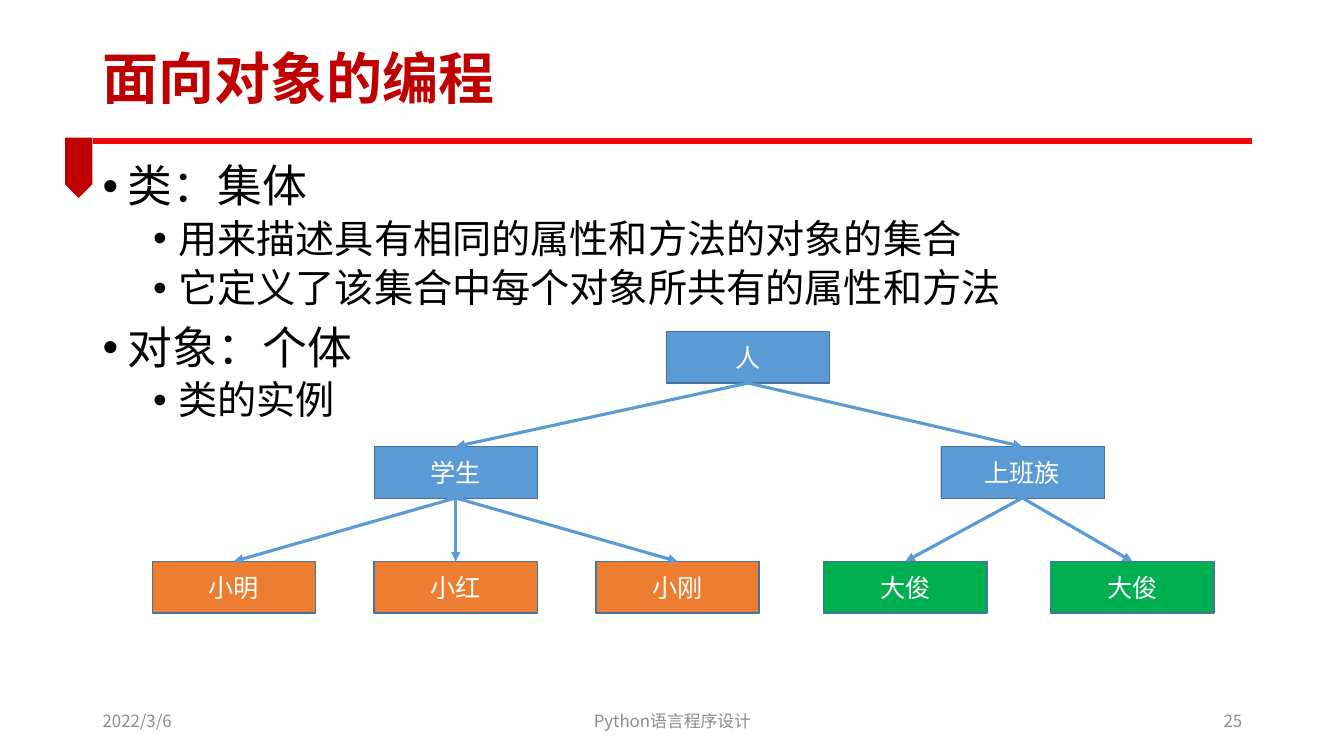
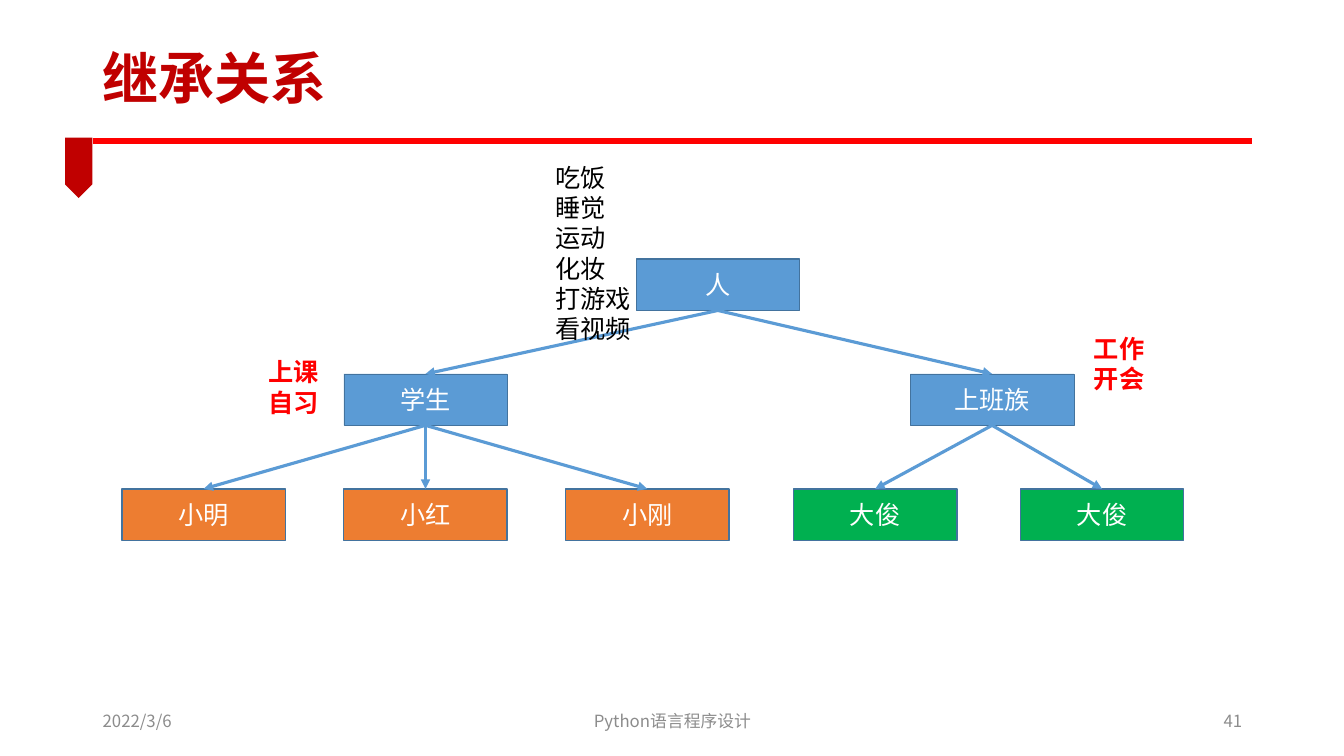
"""Build two slides on classes, objects and inheritance in Python."""
from lxml.etree import SubElement
from pptx import Presentation
from pptx.dml.color import RGBColor
from pptx.enum.shapes import MSO_CONNECTOR, MSO_SHAPE
from pptx.enum.text import MSO_ANCHOR, MSO_AUTO_SIZE, PP_ALIGN
from pptx.oxml import parse_xml
from pptx.oxml.ns import nsdecls, qn
from pptx.util import Inches, Pt

FONT = "Noto Sans CJK SC"
DARK_RED = RGBColor(0xC0, 0x00, 0x00)
RED = RGBColor(0xFF, 0x00, 0x00)
BLACK = RGBColor(0x00, 0x00, 0x00)
WHITE = RGBColor(0xFF, 0xFF, 0xFF)
GRAY = RGBColor(0x8C, 0x8C, 0x8C)
BLUE = RGBColor(0x5B, 0x9B, 0xD5)
OUTLINE = RGBColor(0x43, 0x73, 0x9E)
ORANGE = RGBColor(0xED, 0x7D, 0x31)
GREEN = RGBColor(0x00, 0xB0, 0x50)

BOX_WIDTH, BOX_HEIGHT, ROW_PITCH = 1.62, 0.51, 1.14
TREE = [
    ("人", 5.1, 0, BLUE, 1, None),
    ("学生", 2.2, 1, BLUE, 0.25, 0),
    ("上班族", 7.82, 1, BLUE, 0.25, 0),
    ("小明", 0, 2, ORANGE, 1, 1),
    ("小红", 2.2, 2, ORANGE, 1, 1),
    ("小刚", 4.4, 2, ORANGE, 1, 1),
    ("大俊", 6.66, 2, GREEN, 1, 2),
    ("大俊", 8.91, 2, GREEN, 1, 2),
]
BULLET_STYLES = [(32, 10, 0.25), (28, 5, 0.75)]
SLIDES = [
    {
        "title": "面向对象的编程",
        "number": "25",
        "tree_at": (1.51, 3.29),
        "bullets": [
            (0, "类：集体"),
            (1, "用来描述具有相同的属性和方法的对象的集合"),
            (1, "它定义了该集合中每个对象所共有的属性和方法"),
            (0, "对象：个体"),
            (1, "类的实例"),
        ],
        "labels": [],
    },
    {
        "title": "继承关系",
        "number": "41",
        "tree_at": (1.21, 2.57),
        "bullets": [],
        "labels": [
            (2.56, 3.49, 0.71, ["上课", "自习"], RED, True),
            (10.75, 3.26, 0.71, ["工作", "开会"], RED, True),
            (5.41, 1.56, 1.92, ["吃饭", "睡觉", "运动", "化妆", "打游戏", "看视频"], BLACK, False),
        ],
    },
]


def write_lines(shape, lines, size, color, align=PP_ALIGN.LEFT, bold=False):
    frame = shape.text_frame
    frame.word_wrap = True
    frame.text = "\n".join(lines)
    for paragraph in frame.paragraphs:
        paragraph.alignment = align
        font = paragraph.font
        font.size = Pt(size)
        font.bold = bold
        font.color.rgb = color
        font.name = FONT
        default_font = paragraph._p.pPr.find(qn("a:defRPr"))
        SubElement(default_font, qn("a:ea"), typeface=FONT)
    return frame


def add_text_box(slide, position, lines, size, color, align=PP_ALIGN.LEFT, bold=False):
    shape = slide.shapes.add_textbox(*map(Inches, position))
    return write_lines(shape, lines, size, color, align, bold)


presentation = Presentation()
presentation.slide_width = Inches(13.33)
presentation.slide_height = Inches(7.5)

for content in SLIDES:
    slide = presentation.slides.add_slide(presentation.slide_layouts[6])

    rule = slide.shapes.add_connector(
        MSO_CONNECTOR.STRAIGHT, Inches(0.92), Inches(1.4), Inches(12.42), Inches(1.4)
    )
    rule.line.color.rgb = RED
    rule.line.width = Pt(4.5)
    SubElement(rule._element.spPr, qn("a:effectLst"))

    ribbon = slide.shapes.add_shape(
        MSO_SHAPE.PENTAGON, Inches(0.48), Inches(1.53), Inches(0.6), Inches(0.27)
    )
    ribbon.rotation = 90
    ribbon.shadow.inherit = False
    ribbon.fill.solid()
    ribbon.fill.fore_color.rgb = DARK_RED
    ribbon.line.fill.background()

    title = add_text_box(
        slide, (0.92, 0.35, 8.65, 0.92), [content["title"]], 40, DARK_RED, bold=True
    )
    title.vertical_anchor = MSO_ANCHOR.MIDDLE
    title.paragraphs[0].line_spacing = 0.9

    footers = [
        (0.92, 3, "2022/3/6", PP_ALIGN.LEFT),
        (4.42, 4.5, "Python语言程序设计", PP_ALIGN.CENTER),
        (9.42, 3, content["number"], PP_ALIGN.RIGHT),
    ]
    for left, width, text, align in footers:
        footer = add_text_box(slide, (left, 6.95, width, 0.4), [text], 12, GRAY, align)
        footer.vertical_anchor = MSO_ANCHOR.MIDDLE

    if content["bullets"]:
        body = add_text_box(
            slide, (0.92, 1.58, 11.5, 5.18), [text for _, text in content["bullets"]], 32, BLACK
        )
        for paragraph, (level, _) in zip(body.paragraphs, content["bullets"]):
            size, space_before, margin = BULLET_STYLES[level]
            paragraph.level = level
            paragraph.font.size = Pt(size)
            paragraph.line_spacing = 0.9
            paragraph.space_before = Pt(space_before)
            properties = paragraph._p.pPr
            properties.set("marL", str(Inches(margin)))
            properties.set("indent", str(Inches(-0.25)))
            default_font = properties.find(qn("a:defRPr"))
            default_font.addprevious(parse_xml(f'<a:buFont {nsdecls("a")} typeface="Arial"/>'))
            default_font.addprevious(parse_xml(f'<a:buChar {nsdecls("a")} char="•"/>'))

    tree_left, tree_top = content["tree_at"]
    boxes = []
    for name, offset, row, fill, line_width, _ in TREE:
        box = slide.shapes.add_shape(
            MSO_SHAPE.RECTANGLE,
            Inches(tree_left + offset),
            Inches(tree_top + row * ROW_PITCH),
            Inches(BOX_WIDTH),
            Inches(BOX_HEIGHT),
        )
        box.shadow.inherit = False
        box.fill.solid()
        box.fill.fore_color.rgb = fill
        box.line.color.rgb = OUTLINE
        box.line.width = Pt(line_width)
        frame = write_lines(box, [name], 18, WHITE, PP_ALIGN.CENTER)
        frame.vertical_anchor = MSO_ANCHOR.MIDDLE
        boxes.append(box)

    for box, (*_, parent) in zip(boxes, TREE):
        if parent is None:
            continue
        arrow = slide.shapes.add_connector(MSO_CONNECTOR.STRAIGHT, 0, 0, 0, 0)
        arrow.begin_connect(boxes[parent], 2)
        arrow.end_connect(box, 0)
        arrow.line.color.rgb = BLUE
        arrow.line.width = Pt(2.25)
        SubElement(arrow.line._get_or_add_ln(), qn("a:tailEnd"), type="triangle")
        SubElement(arrow._element.spPr, qn("a:effectLst"))

    for left, top, height, lines, color, bold in content["labels"]:
        label = add_text_box(slide, (left, top, 0.99, height), lines, 18, color, bold=bold)
        label.auto_size = MSO_AUTO_SIZE.SHAPE_TO_FIT_TEXT

presentation.save("out.pptx")
